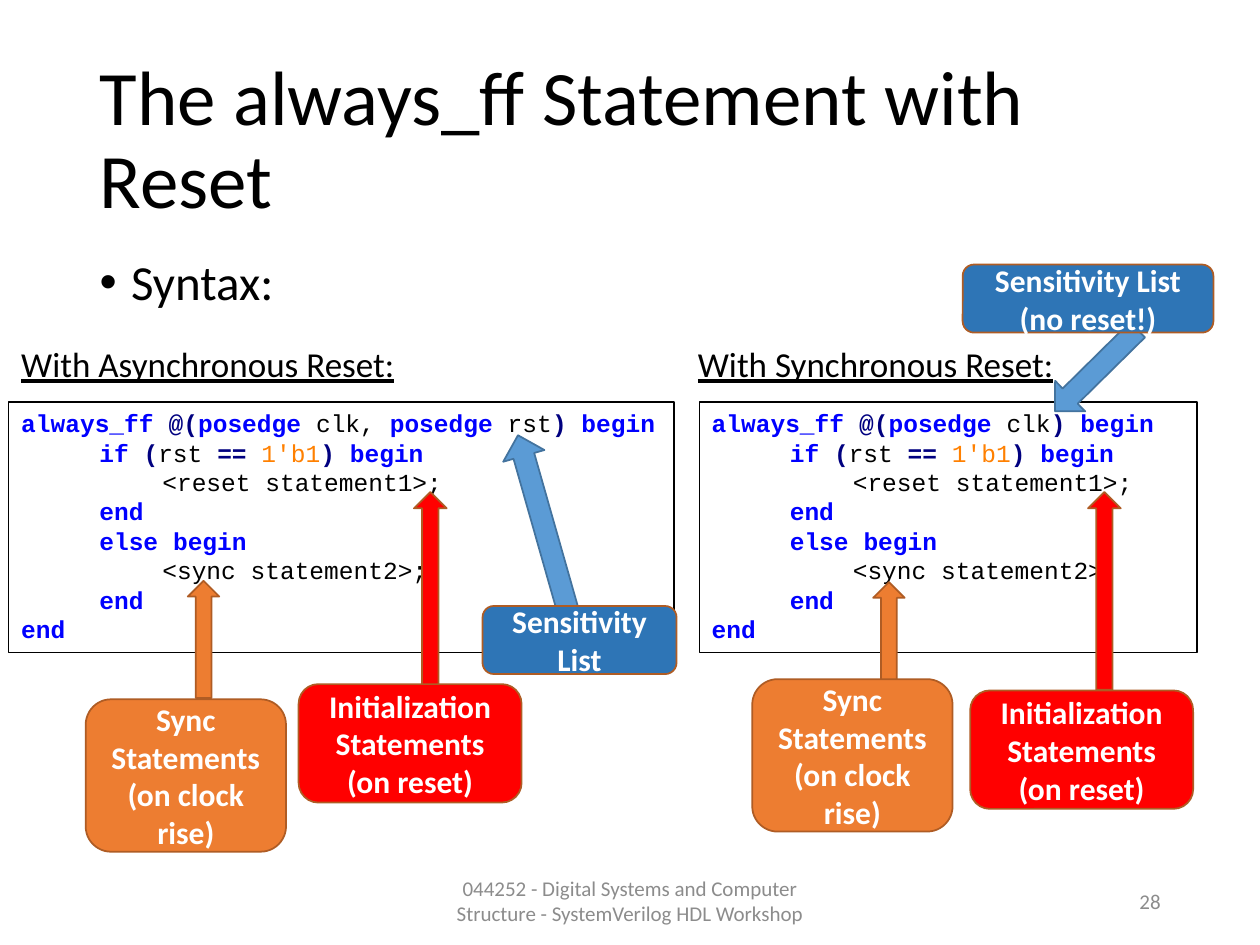
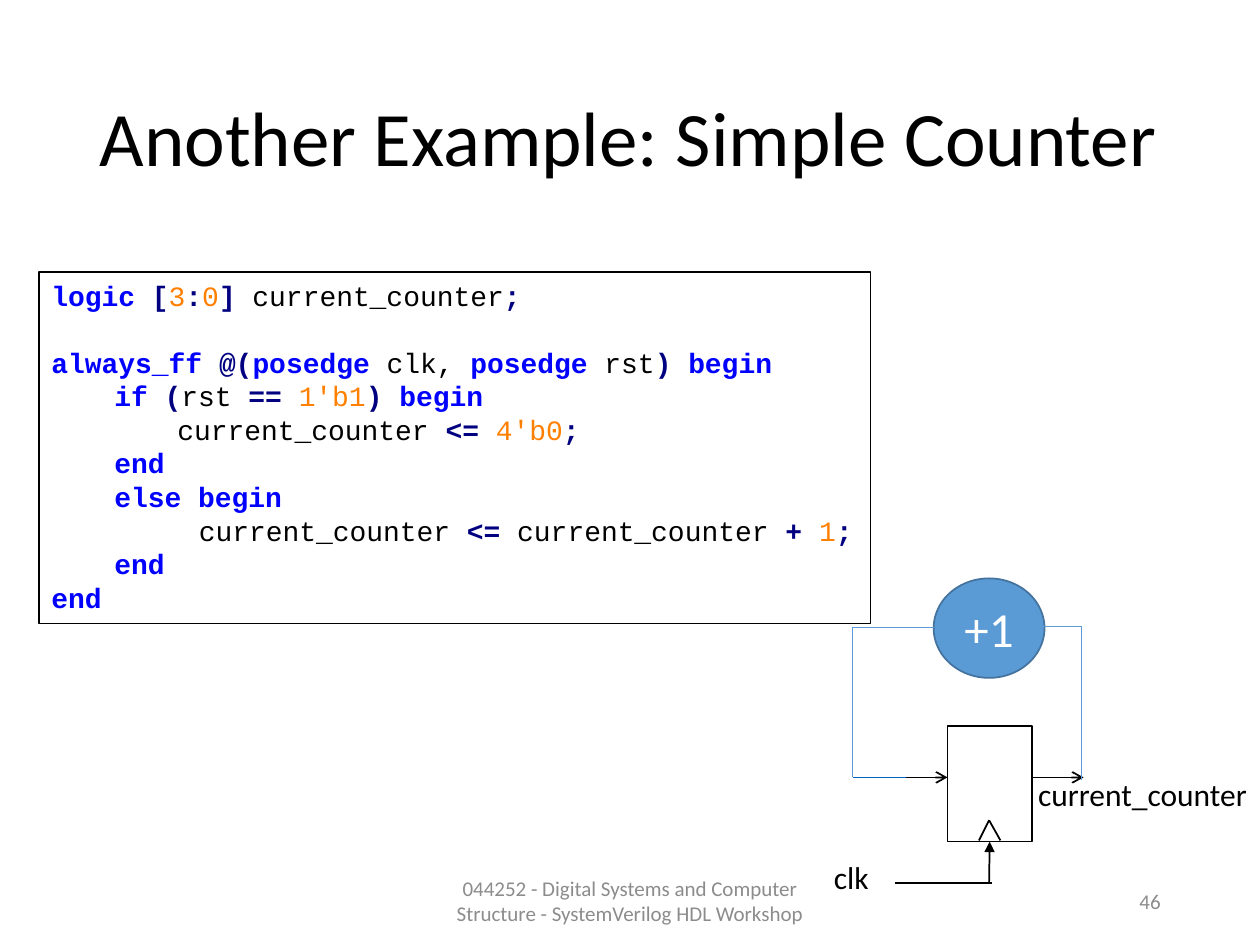
import itertools

import pptx
import pptx.dml.color
import pptx.enum.shapes
import pptx.enum.text
import pptx.oxml
import pptx.oxml.ns
import pptx.util

Inches = pptx.util.Inches
Pt = pptx.util.Pt
SHAPE = pptx.enum.shapes.MSO_SHAPE
CONNECTOR = pptx.enum.shapes.MSO_CONNECTOR
ALIGN = pptx.enum.text.PP_ALIGN
ANCHOR = pptx.enum.text.MSO_ANCHOR
qn = pptx.oxml.ns.qn

BLACK, WHITE, GREY = "000000", "FFFFFF", "8C8C8C"
RED, ORANGE, NAVY_BOX = "FF0000", "ED7D31", "2E75B6"
BLUE, BLUE_EDGE, BROWN_EDGE, LINK = "5B9BD5", "43739E", "AF5C24", "0563C1"

FOOTER = "044252 - Digital Systems and Computer Structure - SystemVerilog HDL Workshop"
KEYWORDS = {"always_ff", "posedge", "begin", "end", "if", "else", "logic"}
KEYWORD = {"color": "0000FF", "bold": True}
OPERATOR = {"color": "000080", "bold": True}
NUMBER = {"color": "FF8000"}

RESET_BODY = [
    (0.62, "if (rst == 1'b1) begin"),
    (1.12, "<reset statement1>;"),
    (0.62, "end"),
    (0.62, "else begin"),
    (1.12, "<sync statement2>;"),
    (0.62, "end"),
    (0, "end"),
]
INIT, SYNC = "Initialization Statements (on reset)", "Sync Statements (on clock rise)"
PANELS = [
    {
        "heading": ("With Synchronous Reset:", (5.44, 2.67, 3.56, 0.44)),
        "code": ("always_ff @(posedge clk) begin", (5.55, 3.19, 3.95, 1.99)),
        "callouts": [
            (INIT, RED, (7.7, 5.48, 1.77, 0.94), (7.98, 4.56, 1.57, 0.26), 90),
            ("Sensitivity List (no reset!)", NAVY_BOX, (7.64, 2.1, 1.99, 0.54),
             (8.53, 2.48, 0.34, 0.92), 45.4),
            (SYNC, ORANGE, (5.97, 5.39, 1.59, 1.21), (6.59, 4.96, 0.93, 0.25), 90),
        ],
    },
    {
        "heading": ("With Asynchronous Reset:", (0.07, 2.67, 3.56, 0.44)),
        "code": ("always_ff @(posedge clk, posedge rst) begin", (0.07, 3.19, 5.28, 1.99)),
        "callouts": [
            (INIT, RED, (2.37, 5.43, 1.77, 0.94), (2.63, 4.56, 1.57, 0.26), 90),
            ("Sensitivity List", NAVY_BOX, (3.83, 4.81, 1.54, 0.54),
             (4.19, 3.42, 0.34, 1.82), 164.1),
            (SYNC, ORANGE, (0.68, 5.55, 1.59, 1.21), (1.15, 4.95, 0.93, 0.25), 90),
        ],
    },
]

COUNTER_CODE = [
    (0, "logic [3:0] current_counter;"),
    (0, "always_ff @(posedge clk, posedge rst) begin"),
    (0.5, "if (rst == 1'b1) begin"),
    (1, "current_counter <= 4'b0;"),
    (0.5, "end"),
    (0.5, "else begin"),
    (1.17, "current_counter <= current_counter + 1;"),
    (0.5, "end"),
    (0, "end"),
]
REGISTER, ADDER = (7.52, 5.76, 0.67, 0.92), (7.41, 4.59, 0.88, 0.79)
CLOCK_WEDGE = [((7.77, 6.67), (7.85, 6.51)), ((7.94, 6.67), (7.85, 6.51))]
DATA_ARROWS = [((7.1, 6.17), (7.52, 6.17)), ((8.19, 6.17), (8.6, 6.17))]
FEEDBACK = [((8.27, 4.97), (8.58, 6.19)), ((7.41, 4.98), (6.77, 6.17))]
SIGNALS = [("current_counter", (8.14, 6.1, 1.91, 0.4)), ("clk", (6.52, 6.76, 0.51, 0.37))]


def rgb(color):
    return pptx.dml.color.RGBColor.from_string(color)


def inches(values):
    return [Inches(v) for v in values]


def add_run(p, text, size=18, color=BLACK, font="Calibri", bold=False, underline=False):
    r = p.add_run()
    r.text = text
    f = r.font
    f.size, f.name, f.bold, f.underline = Pt(size), font, bold, underline
    f.color.rgb = rgb(color)


def add_label(s, text, at, align=ALIGN.LEFT, anchor=ANCHOR.TOP, wrap=True, **fmt):
    tf = s.shapes.add_textbox(*inches(at)).text_frame
    tf.word_wrap, tf.vertical_anchor = wrap, anchor
    tf.paragraphs[0].alignment = align
    add_run(tf.paragraphs[0], text, **fmt)


def add_figure(s, kind, at, fill, edge, text="", rotation=0, **fmt):
    sp = s.shapes.add_shape(kind, *inches(at))
    sp.shadow.inherit = False
    sp.fill.solid()
    sp.fill.fore_color.rgb = rgb(fill)
    sp.line.color.rgb = rgb(edge)
    sp.line.width = Pt(1)
    sp.rotation = rotation
    if text:
        tf = sp.text_frame
        tf.word_wrap, tf.vertical_anchor = True, ANCHOR.MIDDLE
        tf.paragraphs[0].alignment = ALIGN.CENTER
        add_run(tf.paragraphs[0], text, color=WHITE, **fmt)
    return sp


def add_line(s, start, end, color=BLACK, width=1, head=None, bent=False):
    kind = CONNECTOR.ELBOW if bent else CONNECTOR.STRAIGHT
    c = s.shapes.add_connector(kind, *inches(start + end))
    c.line.color.rgb = rgb(color)
    c.line.width = Pt(width)
    pr = c._element.spPr
    if bent:
        pr.find(qn("a:prstGeom")).set("prst", "bentConnector2")
    if head:
        tail = pptx.oxml.parse_xml(
            f'<a:tailEnd {pptx.oxml.ns.nsdecls("a")} type="{head}"/>')
        pr.find(qn("a:ln")).append(tail)
    pr.append(pptx.oxml.parse_xml(f'<a:effectLst {pptx.oxml.ns.nsdecls("a")}/>'))
    return c


def char_class(ch):
    if ch.isalnum() or ch in "_'":
        return "word"
    return "operator" if ch in "@()[]:;=<+" else "plain"


def token_format(kind, token):
    if token in KEYWORDS:
        return KEYWORD
    if kind == "word" and token[0].isdigit():
        return NUMBER
    return OPERATOR if kind == "operator" else {}


def add_code(s, lines, at, size):
    sp = s.shapes.add_textbox(*inches(at))
    sp.line.color.rgb = rgb(BLACK)
    sp.line.width = Pt(0.75)
    tf = sp.text_frame
    tf.word_wrap = True
    for i, (indent, line) in enumerate(lines):
        p = tf.add_paragraph() if i else tf.paragraphs[0]
        p._p.get_or_add_pPr().set("marL", str(Inches(indent)))
        if line.startswith("<"):
            add_run(p, line, size=size, font="Courier New")
            continue
        for kind, chars in itertools.groupby(line, char_class):
            token = "".join(chars)
            add_run(p, token, size=size, font="Courier New", **token_format(kind, token))
    return tf


def fill_placeholder(sp, text, at, size, anchor):
    sp.left, sp.top, sp.width, sp.height = inches(at)
    tf = sp.text_frame
    tf.auto_size = pptx.enum.text.MSO_AUTO_SIZE.NONE
    tf.word_wrap, tf.vertical_anchor = True, anchor
    p = tf.paragraphs[0]
    p.alignment, p.line_spacing = ALIGN.LEFT, 0.9
    add_run(p, text, size=size)
    return p


def new_slide(prs, layout, title, number):
    s = prs.slides.add_slide(prs.slide_layouts[layout])
    fill_placeholder(s.shapes.title, title, (0.69, 0.4, 8.62, 1.45), 44, ANCHOR.MIDDLE)
    small = {"anchor": ANCHOR.MIDDLE, "size": 12, "color": GREY}
    add_label(s, FOOTER, (3.31, 6.95, 3.38, 0.4), align=ALIGN.CENTER, **small)
    add_label(s, number, (7.06, 6.95, 2.25, 0.4), align=ALIGN.RIGHT, **small)
    return s


def build_reset_slide(prs):
    s = new_slide(prs, 1, "The always_ff Statement with Reset", "28")
    p = fill_placeholder(s.placeholders[1], "Syntax:", (0.69, 2, 8.62, 4.76), 28, ANCHOR.TOP)
    p.space_before = Pt(10)
    pPr = p._p.get_or_add_pPr()
    pPr.set("marL", str(Inches(0.25)))
    pPr.set("indent", str(Inches(-0.25)))
    for panel in PANELS:
        first_line, at = panel["code"]
        add_code(s, [(0, first_line)] + RESET_BODY, at, 14)
        heading, at = panel["heading"]
        add_label(s, heading, at, size=20, underline=True)
        for text, color, at, arrow_at, rotation in panel["callouts"]:
            if color == NAVY_BOX:
                add_figure(s, SHAPE.DOWN_ARROW, arrow_at, BLUE, BLUE_EDGE, rotation=rotation)
            else:
                add_figure(s, SHAPE.LEFT_ARROW, arrow_at, color, BROWN_EDGE, rotation=rotation)
            add_figure(s, SHAPE.ROUNDED_RECTANGLE, at, color, BROWN_EDGE, text, bold=True)


def build_counter_slide(prs):
    s = new_slide(prs, 5, "Another Example: Simple Counter", "46")
    tf = add_code(s, COUNTER_CODE, (0.31, 2.16, 6.6, 2.79), 16)
    tf.paragraphs[1].space_before = Pt(19)
    register = add_figure(s, SHAPE.RECTANGLE, REGISTER, WHITE, BLACK)
    for start, end in CLOCK_WEDGE:
        add_line(s, start, end)
    for start, end in DATA_ARROWS:
        add_line(s, start, end, head="arrow")
    add_line(s, (7.1, 7.01), (7.87, 7.01))
    clock = add_line(s, (7.85, 7.01), (7.85, 6.68), head="triangle")
    clock.end_connect(register, 2)
    for text, at in SIGNALS:
        add_label(s, text, at, wrap=False)
    add_line(s, (6.77, 6.17), (7.19, 6.17), color=LINK)
    add_figure(s, SHAPE.OVAL, ADDER, BLUE, BLUE_EDGE, "+1", size=28)
    for start, end in FEEDBACK:
        add_line(s, start, end, color=BLUE, width=0.5, bent=True)


def main():
    prs = pptx.Presentation()
    prs.slide_width, prs.slide_height = Inches(10), Inches(7.5)
    build_reset_slide(prs)
    build_counter_slide(prs)
    prs.save("out.pptx")


if __name__ == "__main__":
    main()
